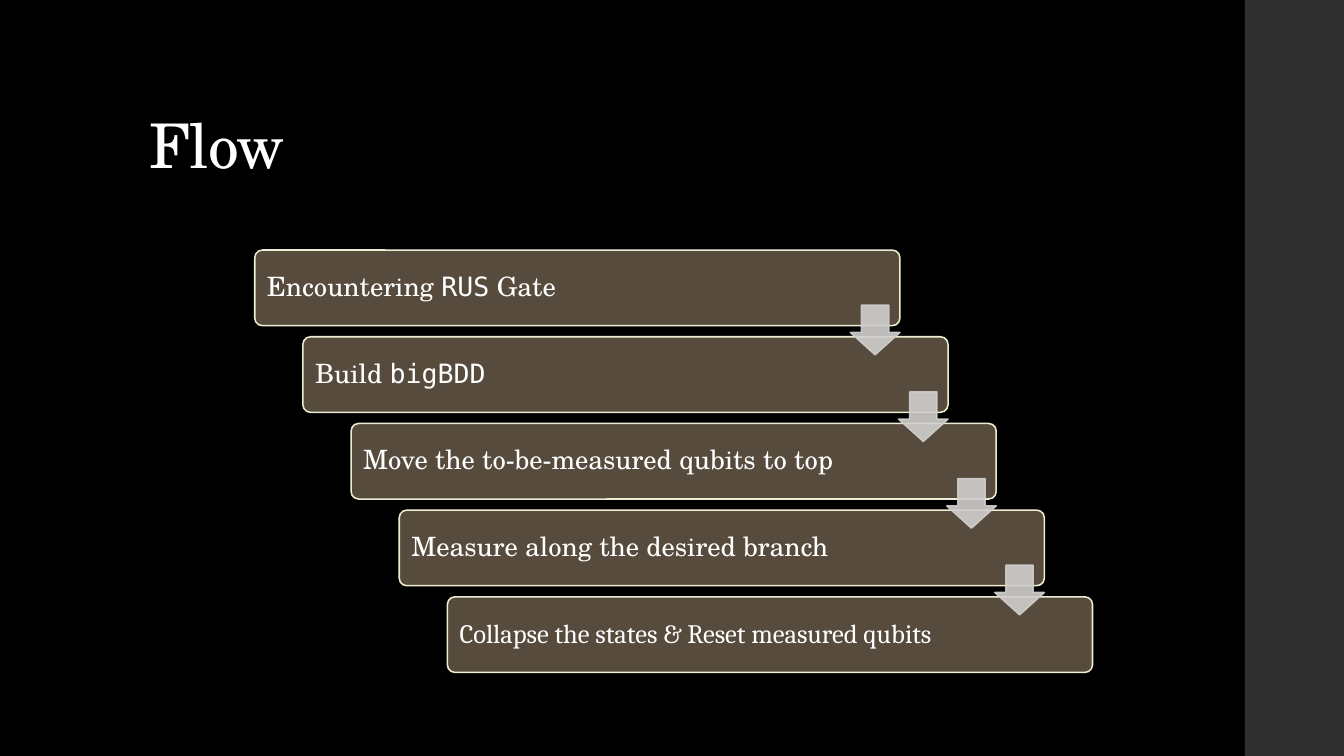
from pptx import Presentation
from pptx.dml.color import RGBColor
from pptx.enum import shapes, text
from pptx.oxml.ns import qn
from pptx.util import Pt
from lxml import etree

BLACK = RGBColor(0x00, 0x00, 0x00)
WHITE = RGBColor(0xFF, 0xFF, 0xFF)
SIDEBAR_GRAY = RGBColor(0x30, 0x30, 0x30)
STEP_BROWN = RGBColor(0x56, 0x4B, 0x3C)
STEP_EDGE = RGBColor(0xEC, 0xED, 0xD1)
ARROW_GRAY = RGBColor(0xD1, 0xD0, 0xCE)

SERIF = "TeX Gyre Schola"
MONO = "DejaVu Sans Mono"
CAMBRIA = "Cambria"

STEPS = [
    [("Encountering ", SERIF), ("RUS", MONO), (" Gate", SERIF)],
    [("Build ", SERIF), ("bigBDD", MONO)],
    [("Move the to-be-measured qubits to top", SERIF)],
    [("Measure along the desired branch", SERIF)],
    [("Collapse the states & Reset measured qubits", CAMBRIA)],
]
STEP_WIDTH, STEP_HEIGHT = 460.8, 54
ARROW_SIZE = 35.4
ARROW_DROP = 39.4

TITLE_FRAME = {"vertical_anchor": text.MSO_ANCHOR.BOTTOM,
               "auto_size": text.MSO_AUTO_SIZE.NONE, "word_wrap": True}
STEP_FRAME = {"vertical_anchor": text.MSO_ANCHOR.MIDDLE, "word_wrap": True,
              "margin_left": Pt(7.2), "margin_right": Pt(7.2)}
LEFT_PARAGRAPH = {"alignment": text.PP_ALIGN.LEFT, "line_spacing": 0.9}


def set_format(target, values):
    for name, value in values.items():
        setattr(target, name, value)


def add_run(paragraph, words, font_name, size):
    run = paragraph.add_run()
    run.text = words
    set_format(run.font, {"name": font_name, "size": Pt(size)})
    run.font.color.rgb = WHITE
    return run


def add_filled_shape(slide, kind, box, fill, edge=None):
    shape = slide.shapes.add_shape(kind, *map(Pt, box))
    shape.shadow.inherit = False
    shape.fill.solid()
    shape.fill.fore_color.rgb = fill
    if edge is None:
        shape.line.fill.background()
    else:
        shape.line.color.rgb = edge
        shape.line.width = Pt(1.1)
    return shape


def add_title(slide, words, box):
    title = slide.shapes.title
    set_format(title, dict(zip(("left", "top", "width", "height"), map(Pt, box))))
    set_format(title.text_frame, TITLE_FRAME)
    paragraph = title.text_frame.paragraphs[0]
    set_format(paragraph, LEFT_PARAGRAPH)
    run = add_run(paragraph, words, SERIF, 44)
    run.font._element.set("spc", "-50")


def add_step(slide, runs, left, top):
    step = add_filled_shape(slide, shapes.MSO_SHAPE.ROUNDED_RECTANGLE,
                            (left, top, STEP_WIDTH, STEP_HEIGHT), STEP_BROWN, STEP_EDGE)
    step.adjustments[0] = 0.1
    set_format(step.text_frame, STEP_FRAME)
    paragraph = step.text_frame.paragraphs[0]
    set_format(paragraph, LEFT_PARAGRAPH)
    for words, font_name in runs:
        add_run(paragraph, words, font_name, 19)


def add_arrow(slide, left, top):
    arrow = add_filled_shape(slide, shapes.MSO_SHAPE.DOWN_ARROW,
                             (left, top, ARROW_SIZE, ARROW_SIZE), ARROW_GRAY, ARROW_GRAY)
    arrow.adjustments[0] = 0.55
    arrow.adjustments[1] = 0.45
    for color in arrow._element.spPr.iter(qn("a:srgbClr")):
        etree.SubElement(color, qn("a:alpha")).set("val", "90000")


def add_staircase(slide, box):
    """Spread the steps from the top left to the bottom right of the box."""
    left, top, width, height = box
    gaps = len(STEPS) - 1
    shift = (width - STEP_WIDTH) / gaps
    drop = (height - STEP_HEIGHT) / gaps
    corners = [(left + i * shift, top + i * drop) for i in range(len(STEPS))]
    for runs, (step_left, step_top) in zip(STEPS, corners):
        add_step(slide, runs, step_left, step_top)
    for step_left, step_top in corners[:-1]:
        add_arrow(slide, step_left + STEP_WIDTH - ARROW_SIZE, step_top + ARROW_DROP)


def main():
    presentation = Presentation()
    set_format(presentation, {"slide_width": Pt(960), "slide_height": Pt(540)})
    slide = presentation.slides.add_slide(presentation.slide_layouts[5])
    slide.background.fill.solid()
    slide.background.fill.fore_color.rgb = BLACK
    add_filled_shape(slide, shapes.MSO_SHAPE.RECTANGLE, (889.2, 0, 70.8, 540), SIDEBAR_GRAY)
    add_title(slide, "Flow", (99.4, 28.8, 763.2, 104.4))
    add_staircase(slide, (182, 178.6, 598.4, 301.7))
    presentation.save("out.pptx")


if __name__ == "__main__":
    main()
